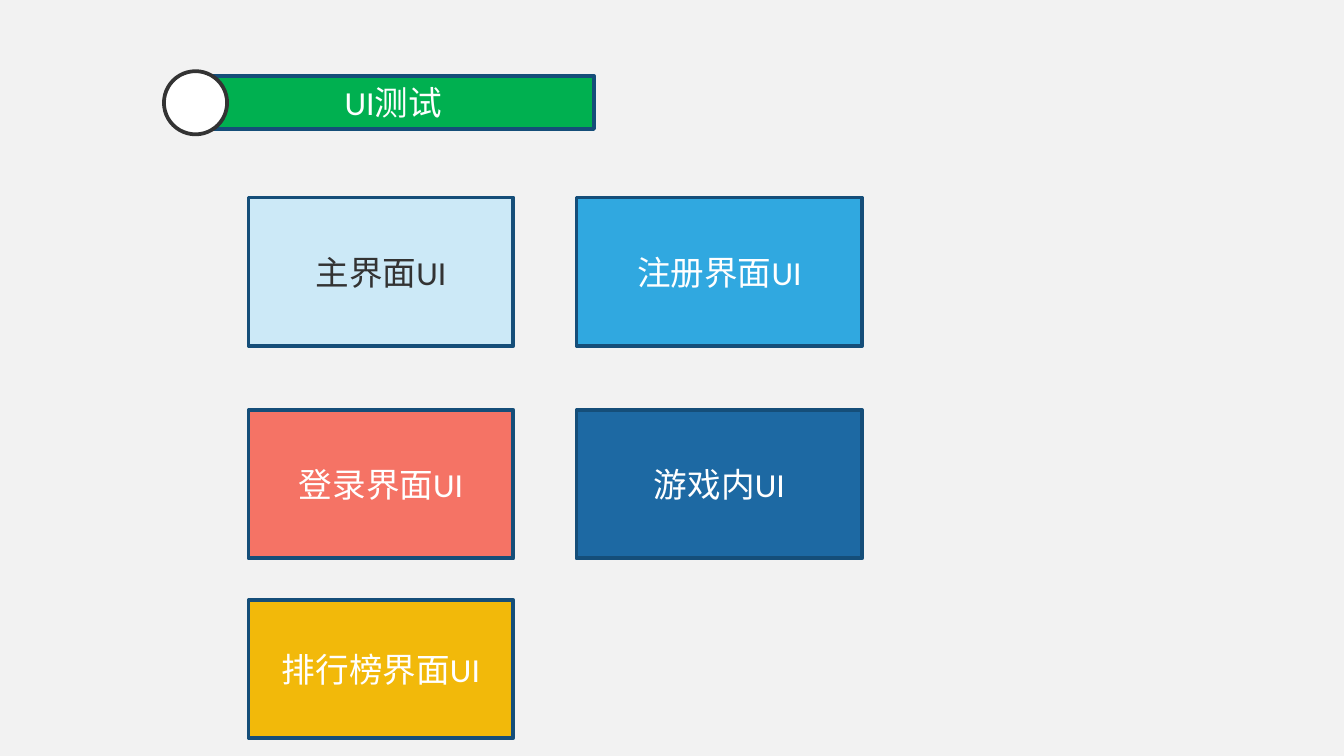
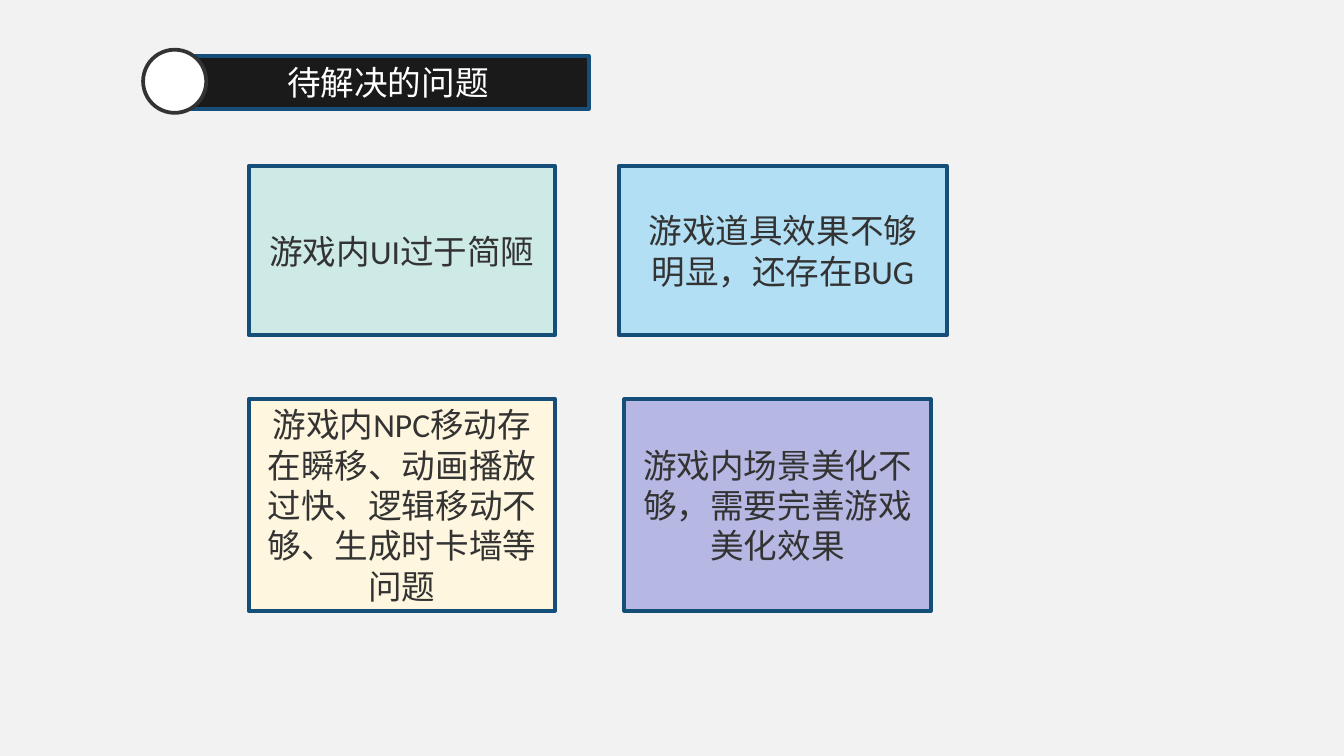
import pptx
import pptx.dml.color
import pptx.enum.shapes
import pptx.enum.text
import pptx.util

PX = 4572
WIDTH, HEIGHT = 2000, 1125
FONT, SIZE = "Calibri", 18
BACK, EDGE, DARK, WHITE = "F2F2F2", "154E79", "333333", "FFFFFF"
RECT = pptx.enum.shapes.MSO_SHAPE.RECTANGLE
OVAL = pptx.enum.shapes.MSO_SHAPE.OVAL


def paint(fill, color):
    fill.solid()
    fill.fore_color.rgb = pptx.dml.color.RGBColor.from_string(color)


class Deck:
    """Holds the shared style and the slide being drawn."""

    def __init__(self):
        self.prs = pptx.Presentation()
        self.prs.slide_width = WIDTH * PX
        self.prs.slide_height = HEIGHT * PX
        self.s = None

    def slide(self):
        self.s = self.prs.slides.add_slide(self.prs.slide_layouts[6])
        paint(self.s.background.fill, BACK)

    def shape(self, kind, x, y, w, h, fill, line):
        sp = self.s.shapes.add_shape(kind, x * PX, y * PX, w * PX, h * PX)
        sp.shadow.inherit = False
        paint(sp.fill, fill)
        paint(sp.line.fill, line)
        sp.line.width = pptx.util.Pt(2)
        return sp

    def box(self, x, y, w, h, fill, text, color):
        tf = self.shape(RECT, x, y, w, h, fill, EDGE).text_frame
        tf.word_wrap = True
        tf.vertical_anchor = pptx.enum.text.MSO_ANCHOR.MIDDLE
        p = tf.paragraphs[0]
        p.alignment = pptx.enum.text.PP_ALIGN.CENTER
        r = p.add_run()
        r.text = text
        r.font.name = FONT
        r.font.size = pptx.util.Pt(SIZE)
        paint(r.font.fill, color)

    def title(self, x, y, fill, text, dot_x, dot_y):
        self.box(x, y, 598, 79, fill, text, WHITE)
        self.shape(OVAL, dot_x, dot_y, 94, 94, WHITE, DARK)


def ui_tests(deck):
    deck.slide()
    deck.title(286, 113, "00B050", "UI测试", 244, 106)
    cols = [(370, 394), (858, 425)]
    rows = [(294, 221), (610, 221), (893, 205)]
    cards = [
        ("CCE9F7", "主界面UI", DARK),
        ("30A8E0", "注册界面UI", WHITE),
        ("F57365", "登录界面UI", WHITE),
        ("1D69A3", "游戏内UI", WHITE),
        ("F2B90A", "排行榜界面UI", WHITE),
    ]
    for i, card in enumerate(cards):
        (x, w), (y, h) = cols[i % 2], rows[i // 2]
        deck.box(x, y, w, h, *card)


def open_issues(deck):
    deck.slide()
    deck.title(278, 83, "1A1A1A", "待解决的问题", 213, 74)
    issues = [
        (370, 247, 456, 252, "CEEAE7", "游戏内UI过于简陋"),
        (921, 247, 488, 252, "B2DFF4", "游戏道具效果不够明显，还存在BUG"),
        (370, 594, 456, 315, "FEF6DE",
         "游戏内NPC移动存在瞬移、动画播放过快、逻辑移动不够、生成时卡墙等问题"),
        (929, 594, 456, 315, "B6B8E3", "游戏内场景美化不够，需要完善游戏美化效果"),
    ]
    for issue in issues:
        deck.box(*issue, DARK)


def main():
    deck = Deck()
    ui_tests(deck)
    open_issues(deck)
    deck.prs.save("out.pptx")


if __name__ == "__main__":
    main()
